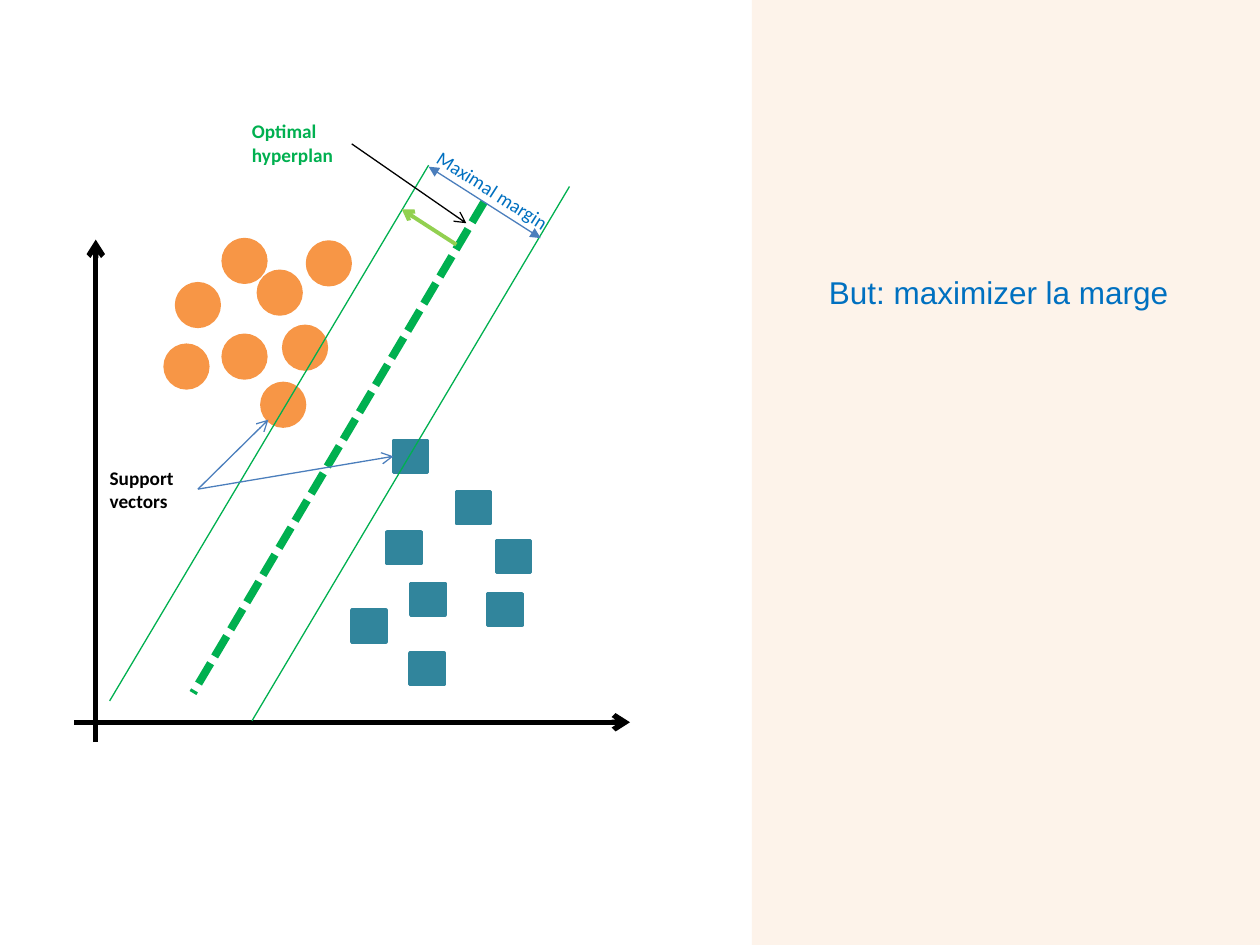
from dataclasses import dataclass

from lxml import etree
from pptx import Presentation
from pptx.dml.color import RGBColor
from pptx.enum.dml import MSO_LINE
from pptx.enum.shapes import MSO_CONNECTOR, MSO_SHAPE
from pptx.enum.text import MSO_AUTO_SIZE
from pptx.oxml.ns import qn
from pptx.util import Cm, Pt


@dataclass(frozen=True)
class Theme:
    black: str = "000000"
    green: str = "00B050"
    lime: str = "92D050"
    blue: str = "0070C0"
    steel: str = "4B7EBC"
    teal: str = "31859C"
    orange: str = "F79646"
    cream: str = "FDEADA"
    label_font: str = "Calibri"
    goal_font: str = "Arial"
    label_size: float = 11
    goal_size: float = 18
    thin: float = 0.75
    outline: float = 2
    medium: float = 2.25
    axis: float = 3
    thick: float = 4.5


T = Theme()

CIRCLE_SIZE = (0.86, 0.86)
CIRCLES = [(2.06, 3.43), (3.71, 3.18), (1.83, 4.67), (3.78, 5.44),
           (3, 4.47), (4.7, 2.59), (4.22, 4.29), (3, 2.54)]
SQUARE_SIZE = (0.69, 0.64)
SQUARES = [(5.59, 10.01), (7.7, 7.62), (6.43, 6.6), (6.78, 9.47),
           (8.51, 8.61), (6.3, 8.43), (8.33, 9.68), (6.76, 10.87)]


def rgb(color):
    return RGBColor.from_string(color)


def add_line(s, box, start, end, color, width, head=None, tail=None, dash=None):
    """Draw a line between two points; head is the arrow at start, tail at end."""
    x, y = box[:2]
    cn = s.shapes.add_connector(MSO_CONNECTOR.STRAIGHT,
                                Cm(x + start[0]), Cm(y + start[1]),
                                Cm(x + end[0]), Cm(y + end[1]))
    cn.line.color.rgb = rgb(color)
    cn.line.width = Pt(width)
    if dash:
        cn.line.dash_style = dash
    ln = cn.line._get_or_add_ln()
    for tag, kind in (("a:headEnd", head), ("a:tailEnd", tail)):
        if kind:
            etree.SubElement(ln, qn(tag), type=kind)
    etree.SubElement(cn._element.spPr, qn("a:effectLst"))


def add_solid(s, kind, box, at, size, color, alpha=None, outline=None):
    sp = s.shapes.add_shape(kind, Cm(box[0] + at[0]), Cm(box[1] + at[1]),
                            Cm(size[0]), Cm(size[1]))
    sp.shadow.inherit = False
    sp.fill.solid()
    sp.fill.fore_color.rgb = rgb(color)
    if alpha:
        clr = sp._element.spPr.find(qn("a:solidFill")).find(qn("a:srgbClr"))
        etree.SubElement(clr, qn("a:alpha"), val=str(alpha * 1000))
    if outline:
        sp.line.color.rgb = rgb(color)
        sp.line.width = Pt(outline)
    else:
        sp.line.fill.background()


def add_text(s, box, text, at, size, color, font=T.label_font,
             points=T.label_size, bold=False, rotation=0):
    sp = s.shapes.add_textbox(Cm(box[0] + at[0]), Cm(box[1] + at[1]),
                              Cm(size[0]), Cm(size[1]))
    sp.rotation = rotation
    tf = sp.text_frame
    tf.word_wrap = True
    tf.auto_size = MSO_AUTO_SIZE.SHAPE_TO_FIT_TEXT
    r = tf.paragraphs[0].add_run()
    r.text = text
    r.font.name = font
    r.font.size = Pt(points)
    r.font.bold = bold
    r.font.color.rgb = rgb(color)


def add_goal_panel(s, box):
    add_solid(s, MSO_SHAPE.RECTANGLE, box, (0, 0), box[2:], T.cream, alpha=54)
    add_text(s, box, "But: maximizer la marge", (1.3, 5.38), (8.99, 1.02),
             T.blue, font=T.goal_font, points=T.goal_size)


def add_axes(s, box):
    width, height = box[2:]
    add_line(s, box, (0, height - 0.4), (width, height - 0.4), T.black, T.axis, tail="arrow")
    add_line(s, box, (0.43, height), (0.43, 2.54), T.black, T.axis, tail="arrow")


def add_classes(s, box):
    for kind, places, size, color in (
            (MSO_SHAPE.RECTANGLE, SQUARES, SQUARE_SIZE, T.teal),
            (MSO_SHAPE.OVAL, CIRCLES, CIRCLE_SIZE, T.orange)):
        for at in places:
            add_solid(s, kind, box, at, size, color, outline=T.outline)


def add_margin(s, box):
    """Draw the hyperplane, its two margins and the arrows across them."""
    add_line(s, box, (8.26, 1.78), (2.39, 11.68), T.green, T.thick,
             dash=MSO_LINE.SQUARE_DOT)
    for start, end in (((7.14, 1.04), (0.71, 11.84)), ((9.98, 1.47), (3.58, 12.24))):
        add_line(s, box, start, end, T.green, T.thin)
    add_line(s, box, (7.14, 1.07), (9.4, 2.51), T.steel, T.thin,
             head="triangle", tail="triangle")
    add_line(s, box, (7.7, 2.64), (6.6, 1.93), T.lime, T.medium, tail="arrow")


def add_labels(s, box):
    add_text(s, box, "Support vectors", (0.46, 6.99), (2.03, 1.19), T.black, bold=True)
    for vector in ((3.91, 6.17), (6.43, 6.91)):
        add_line(s, box, (2.49, 7.57), vector, T.steel, T.thin, tail="arrow")
    add_text(s, box, "Optimal hyperplan", (3.33, 0), (2.29, 1.19), T.green, bold=True)
    add_line(s, box, (5.59, 0.61), (7.9, 2.21), T.black, T.thin, tail="arrow")
    add_text(s, box, "Maximal margin", (6.88, 1.24), (3.28, 0.74), T.blue, rotation=32.6)


def add_svm_plot(s, box):
    for add_part in (add_axes, add_classes, add_margin, add_labels):
        add_part(s, box)


def main():
    prs = Presentation()
    prs.slide_width, prs.slide_height = Cm(25.4), Cm(19.05)
    s = prs.slides.add_slide(prs.slide_layouts[6])
    add_goal_panel(s, (15.16, 0, 10.24, 19.05))
    add_svm_plot(s, (1.5, 2.29, 11.2, 12.67))
    prs.save("out.pptx")


if __name__ == "__main__":
    main()
